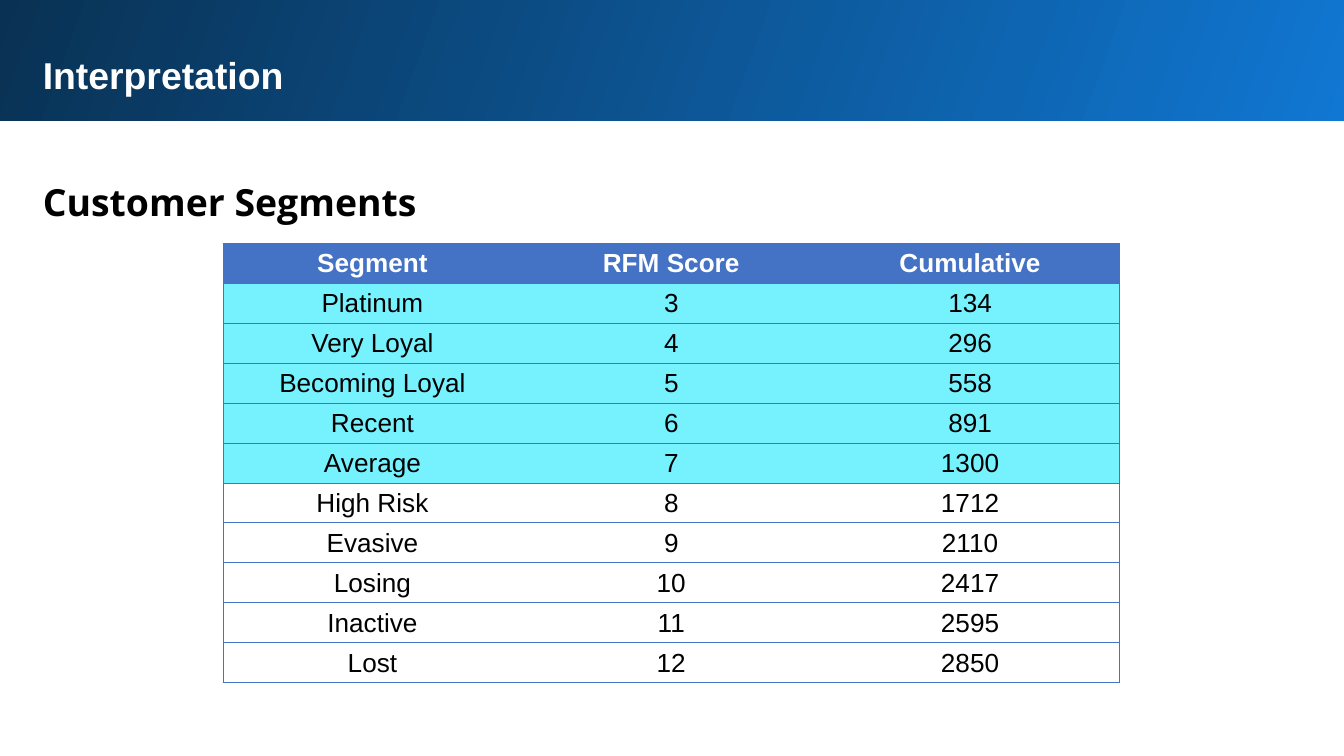
from dataclasses import dataclass

from lxml.etree import SubElement
from pptx import Presentation
from pptx.dml.color import RGBColor
from pptx.enum.shapes import MSO_SHAPE
from pptx.enum.text import MSO_ANCHOR, MSO_AUTO_SIZE, PP_ALIGN
from pptx.oxml.ns import qn
from pptx.util import Inches, Pt


@dataclass(frozen=True)
class Theme:
    """Colours, fonts and type sizes of the slide."""
    white: str = "FFFFFF"
    black: str = "000000"
    banner_light: str = "1077D2"
    banner_dark: str = "093153"
    table_blue: str = "4472C4"
    highlight: str = "76F2FF"
    body_font: str = "Arial"
    heading_font: str = "Open Sans"
    heading_size: int = 20
    table_size: int = 14
    border_width: float = 0.5


THEME = Theme()
HEADER = ("Segment", "RFM Score", "Cumulative")
SEGMENTS = (
    ("Platinum", 3, 134),
    ("Very Loyal", 4, 296),
    ("Becoming Loyal", 5, 558),
    ("Recent", 6, 891),
    ("Average", 7, 1300),
    ("High Risk", 8, 1712),
    ("Evasive", 9, 2110),
    ("Losing", 10, 2417),
    ("Inactive", 11, 2595),
    ("Lost", 12, 2850),
)
HIGHLIGHTED_SEGMENTS = 5


def style_paragraph(paragraph, font_name, size, color, bold):
    """Set the font of a whole paragraph."""
    font = paragraph.font
    font.name, font.size, font.bold = font_name, Pt(size), bold
    font.color.rgb = RGBColor.from_string(color)


def add_banner(slide):
    """Draw the gradient band across the top."""
    banner = slide.shapes.add_shape(
        MSO_SHAPE.RECTANGLE, Inches(-0.02), Inches(-0.02), Inches(10.05), Inches(0.92))
    banner.shadow.inherit = False
    banner.line.fill.background()
    banner.fill.gradient()
    banner.fill.gradient_angle = 160
    colors = (THEME.banner_light, THEME.banner_dark)
    for stop, color in zip(banner.fill.gradient_stops, colors):
        stop.color.rgb = RGBColor.from_string(color)


def add_heading(slide, text, top, height, font_name, color, line_spacing=None):
    """Add a bold heading at the left margin."""
    heading = slide.shapes.add_textbox(
        Inches(0.22), Inches(top), Inches(9.37), Inches(height))
    frame = heading.text_frame
    frame.word_wrap = True
    frame.auto_size = MSO_AUTO_SIZE.SHAPE_TO_FIT_TEXT
    frame.margin_left = frame.margin_right = Inches(0.1)
    frame.margin_top = frame.margin_bottom = Inches(0.1)
    paragraph = frame.paragraphs[0]
    paragraph.text = text
    paragraph.line_spacing = line_spacing
    style_paragraph(paragraph, font_name, THEME.heading_size, color, True)


def set_borders(cell, visible_sides):
    """Draw the named cell borders and clear the others."""
    properties = cell._tc.get_or_add_tcPr()
    for side in "LRTB":
        line = SubElement(properties, qn(f"a:ln{side}"), w=str(Pt(THEME.border_width)))
        if side in visible_sides:
            fill = SubElement(line, qn("a:solidFill"))
            SubElement(fill, qn("a:srgbClr"), val=THEME.table_blue)
        else:
            SubElement(line, qn("a:noFill"))


def fill_cell(cell, value, fill_color, text_color, bold):
    """Write a centred value and set the cell's background."""
    cell.vertical_anchor = MSO_ANCHOR.MIDDLE
    cell.margin_left = cell.margin_right = cell.margin_top = Inches(0.01)
    cell.margin_bottom = 0
    if fill_color:
        cell.fill.solid()
        cell.fill.fore_color.rgb = RGBColor.from_string(fill_color)
    else:
        cell.fill.background()
    paragraph = cell.text_frame.paragraphs[0]
    paragraph.text = str(value)
    paragraph.alignment = PP_ALIGN.CENTER
    style_paragraph(paragraph, THEME.body_font, THEME.table_size, text_color, bold)


def row_style(row_index):
    """Return fill colour, text colour and boldness for a table row."""
    if row_index == 0:
        return THEME.table_blue, THEME.white, True
    fill_color = THEME.highlight if row_index <= HIGHLIGHTED_SEGMENTS else None
    return fill_color, THEME.black, False


def add_segment_table(slide):
    """Add the table of customer segments."""
    rows = (HEADER, *SEGMENTS)
    last_column = len(HEADER) - 1
    table = slide.shapes.add_table(
        len(rows), len(HEADER),
        Inches(1.66), Inches(1.81), Inches(6.67), Inches(3.27)).table
    table.horz_banding = False
    for row_index, values in enumerate(rows):
        for column_index, value in enumerate(values):
            cell = table.cell(row_index, column_index)
            outer_sides = {0: "L", last_column: "R"}.get(column_index, "")
            set_borders(cell, "TB" + outer_sides)
            fill_cell(cell, value, *row_style(row_index))


def main():
    """Build and save the slide."""
    presentation = Presentation()
    presentation.slide_width = Inches(10)
    presentation.slide_height = presentation.slide_width * 9 // 16
    slide = presentation.slides.add_slide(presentation.slide_layouts[6])
    add_banner(slide)
    add_heading(slide, "Interpretation", 0.29, 0.83, THEME.body_font, THEME.white)
    add_heading(slide, "Customer Segments", 1.18, 0.56,
                THEME.heading_font, THEME.black, line_spacing=1.15)
    add_segment_table(slide)
    presentation.save("out.pptx")


main()
